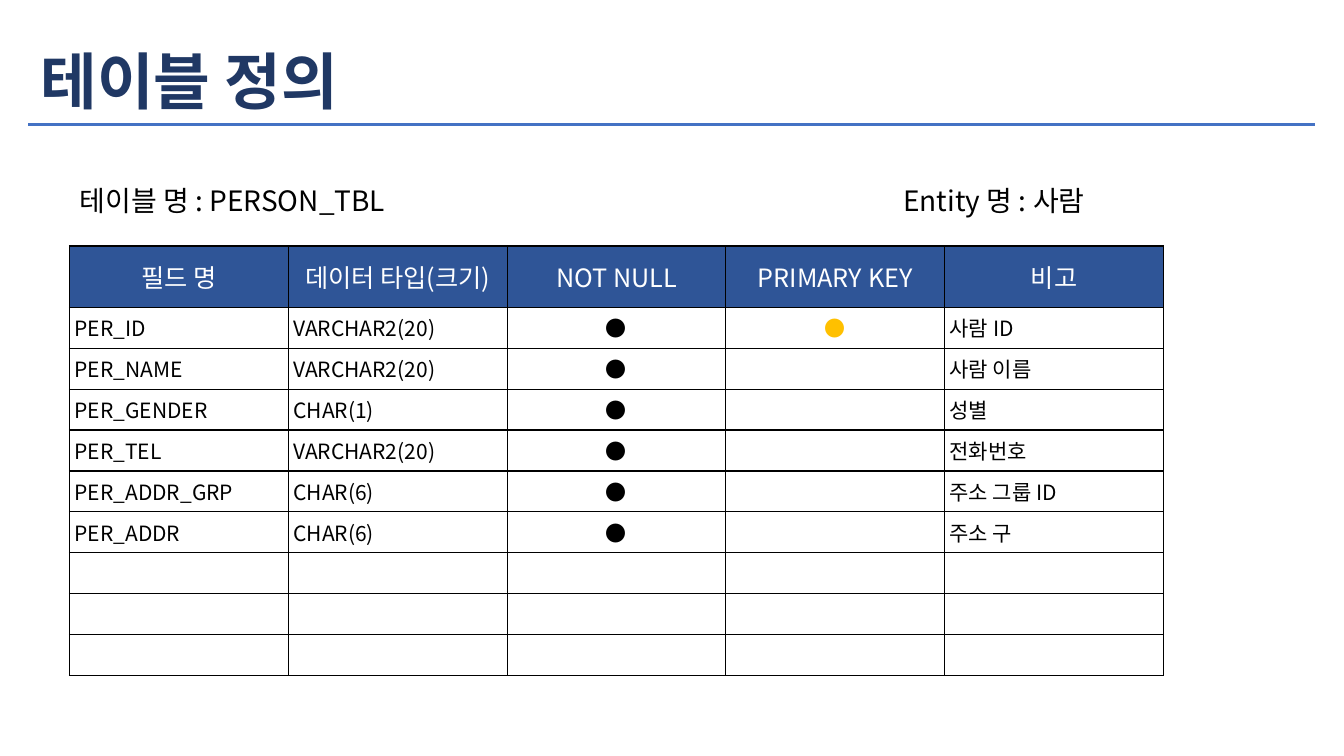
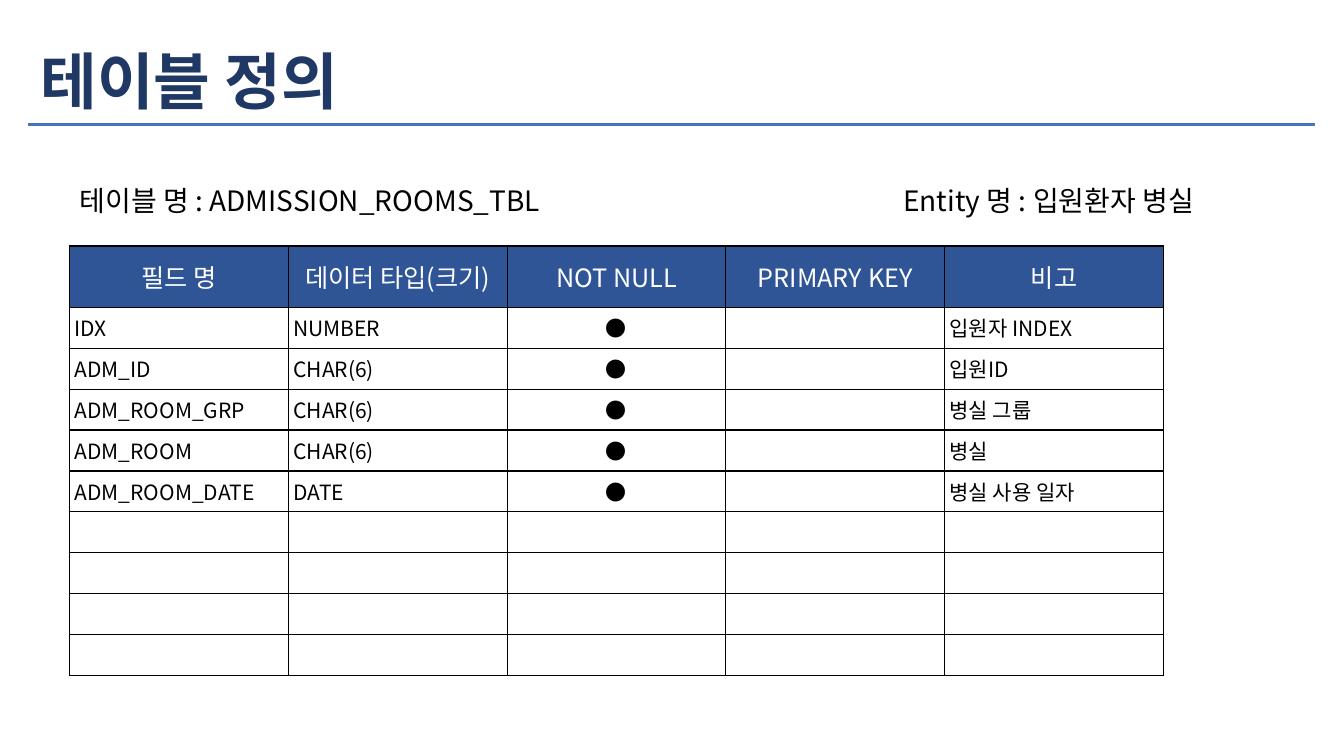
"""Build the table definition slides."""
from dataclasses import dataclass

from lxml.etree import SubElement
from pptx import Presentation
from pptx.dml.color import RGBColor
from pptx.enum.shapes import MSO_SHAPE as Shape
from pptx.enum.text import MSO_ANCHOR as Anchor, MSO_AUTO_SIZE as AutoSize, PP_ALIGN as Align
from pptx.oxml.ns import qn
from pptx.util import Inches, Pt


@dataclass(frozen=True)
class Theme:
    font: str = "Noto Sans CJK KR"
    navy: str = "203864"
    header: str = "2F5597"
    rule: str = "4472C4"
    key: str = "FFC000"
    ink: str = "000000"
    paper: str = "FFFFFF"
    title_size: int = 44
    caption_size: int = 20
    header_size: int = 18
    cell_size: int = 15


THEME = Theme()
DOT = "●"
HEADINGS = ("필드 명", "데이터 타입(크기)", "NOT NULL", "PRIMARY KEY", "비고")
NOT_NULL_COLUMN, KEY_COLUMN = 2, 3
ROW_COUNT = 10
TABLES = (
    ("PERSON_TBL", "사람", (
        ("PER_ID", "VARCHAR2(20)", DOT, DOT, "사람 ID"),
        ("PER_NAME", "VARCHAR2(20)", DOT, "", "사람 이름"),
        ("PER_GENDER", "CHAR(1)", DOT, "", "성별"),
        ("PER_TEL", "VARCHAR2(20)", DOT, "", "전화번호"),
        ("PER_ADDR_GRP", "CHAR(6)", DOT, "", "주소 그룹 ID"),
        ("PER_ADDR", "CHAR(6)", DOT, "", "주소 구"),
    )),
    ("ADMISSION_ROOMS_TBL", "입원환자 병실", (
        ("IDX", "NUMBER", DOT, "", "입원자 INDEX"),
        ("ADM_ID", "CHAR(6)", DOT, "", "입원ID"),
        ("ADM_ROOM_GRP", "CHAR(6)", DOT, "", "병실 그룹"),
        ("ADM_ROOM", "CHAR(6)", DOT, "", "병실"),
        ("ADM_ROOM_DATE", "DATE", DOT, "", "병실 사용 일자"),
    )),
)


def color(value):
    return RGBColor.from_string(value)


def write(frame, text, *, size, ink=THEME.ink, bold=False, align=Align.LEFT, spacing=None):
    para = frame.paragraphs[0]
    para.alignment = align
    para.line_spacing = spacing
    if not text:
        SubElement(para._p, qn("a:endParaRPr"), sz=str(size * 100))
        return
    span = para.add_run()
    span.text = text
    span.font.name = THEME.font
    span.font.size = Pt(size)
    span.font.bold = bold
    span.font.color.rgb = color(ink)
    SubElement(span._r.get_or_add_rPr(), qn("a:ea"), typeface=THEME.font)


def set_margins(holder):
    holder.margin_left = holder.margin_right = Inches(0.05)
    holder.margin_top = holder.margin_bottom = Inches(0.05)


def set_borders(cell):
    properties = cell._tc.get_or_add_tcPr()
    for position, side in enumerate(("lnL", "lnR", "lnT", "lnB")):
        line = properties.makeelement(qn(f"a:{side}"), {"w": str(Pt(1))})
        fill = SubElement(line, qn("a:solidFill"))
        SubElement(fill, qn("a:srgbClr"), val=THEME.ink)
        properties.insert(position, line)


class DeckBuilder:
    def __init__(self, theme):
        self.theme = theme
        self.deck = Presentation()
        self.deck.slide_width, self.deck.slide_height = Inches(13.33), Inches(7.5)
        self.page = None

    def add_page(self, title):
        self.page = self.deck.slides.add_slide(self.deck.slide_layouts[5])
        box = self.page.shapes.title
        box.left, box.top = Inches(0.35), Inches(0.32)
        box.width, box.height = Inches(11.29), Inches(1.04)
        self.set_text(box.text_frame, title, size=self.theme.title_size,
                      ink=self.theme.navy, bold=True)
        self.add_rule()

    def set_text(self, frame, text, **style):
        set_margins(frame)
        frame.word_wrap = True
        frame.auto_size = AutoSize.NONE
        frame.vertical_anchor = Anchor.MIDDLE
        write(frame, text, spacing=0.9, **style)

    def add_rule(self):
        rule = self.page.shapes.add_shape(
            Shape.RECTANGLE, Inches(0.27), Inches(1.21), Inches(12.78), Inches(0.05))
        rule.shadow.inherit = False
        rule.fill.solid()
        rule.fill.fore_color.rgb = color(self.theme.rule)
        rule.line.color.rgb = color(self.theme.paper)
        rule.line.width = Pt(1)

    def add_caption(self, text, left, width):
        box = self.page.shapes.add_textbox(
            Inches(left), Inches(1.75), Inches(width), Inches(0.51))
        self.set_text(box.text_frame, text, size=self.theme.caption_size)

    def add_field_table(self, fields):
        width, height, header_height = 10.85, 4.26, 0.61
        table = self.page.shapes.add_table(
            ROW_COUNT, len(HEADINGS), Inches(0.69), Inches(2.44),
            Inches(width), Inches(height)).table
        table.horz_banding = False
        for column in table.columns:
            column.width = Inches(width / len(HEADINGS))
        for index, row in enumerate(table.rows):
            row.height = Inches((height - header_height) / (ROW_COUNT - 1) if index else header_height)
        blank = ("",) * len(HEADINGS)
        rows = (HEADINGS, *fields, *[blank] * (ROW_COUNT - 1 - len(fields)))
        for row_index, texts in enumerate(rows):
            for column_index, text in enumerate(texts):
                self.fill_cell(table.cell(row_index, column_index), text,
                               column_index, is_header=row_index == 0)

    def fill_cell(self, cell, text, column, is_header):
        set_margins(cell)
        if is_header:
            cell.vertical_anchor = Anchor.MIDDLE
            cell.fill.solid()
            cell.fill.fore_color.rgb = color(self.theme.header)
            size, ink = self.theme.header_size, self.theme.paper
        else:
            cell.vertical_anchor = Anchor.TOP
            cell.fill.background()
            size = self.theme.cell_size
            ink = self.theme.key if column == KEY_COLUMN else self.theme.ink
        centered = is_header or column in (NOT_NULL_COLUMN, KEY_COLUMN)
        write(cell.text_frame, text, size=size, ink=ink,
              align=Align.CENTER if centered else Align.LEFT)
        set_borders(cell)


def main():
    builder = DeckBuilder(THEME)
    for table_name, entity, fields in TABLES:
        builder.add_page("테이블 정의")
        builder.add_field_table(fields)
        builder.add_caption(f"테이블 명 : {table_name}", left=0.74, width=5.45)
        builder.add_caption(f"Entity 명 : {entity}", left=8.91, width=4.38)
    builder.deck.save("out.pptx")


if __name__ == "__main__":
    main()
